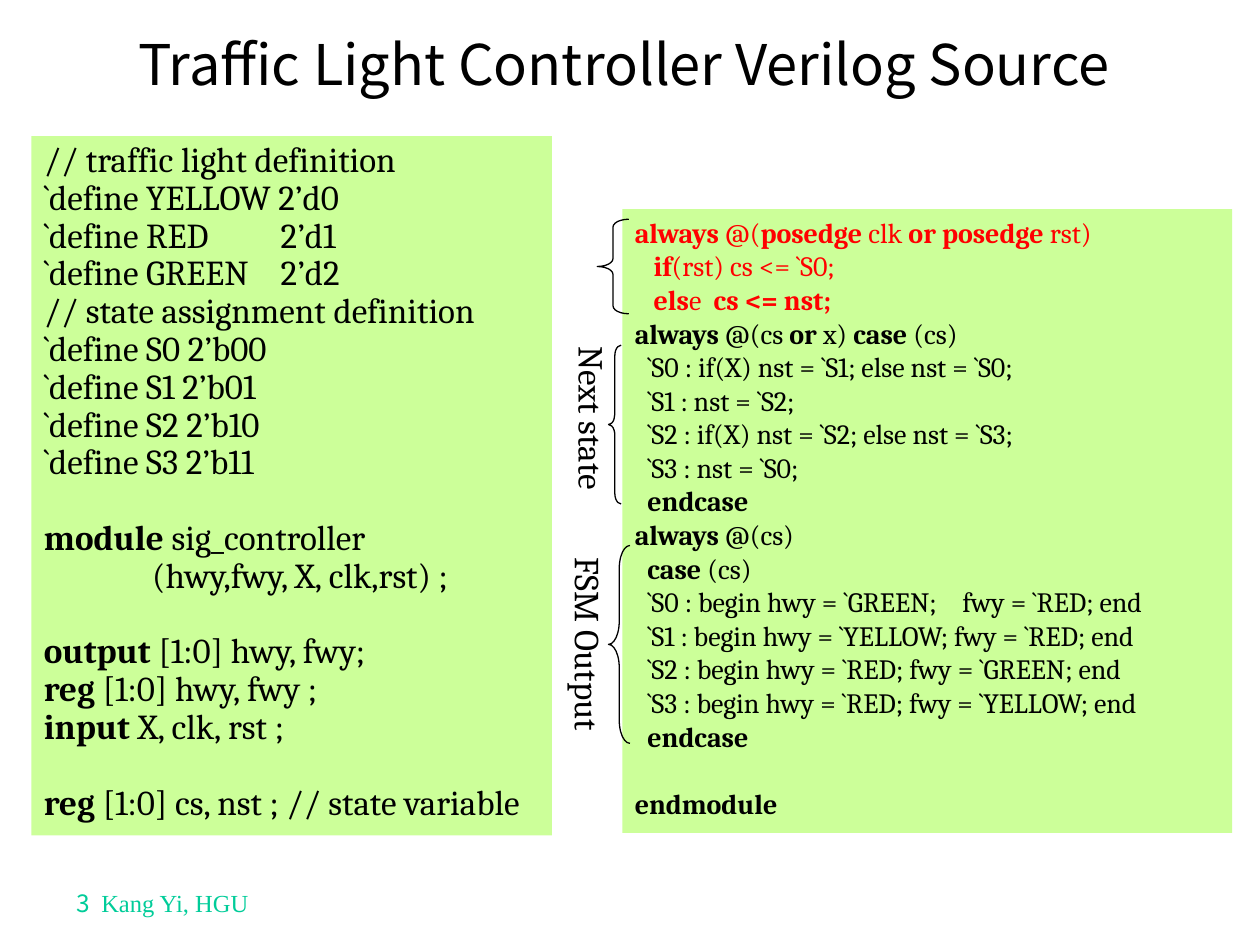
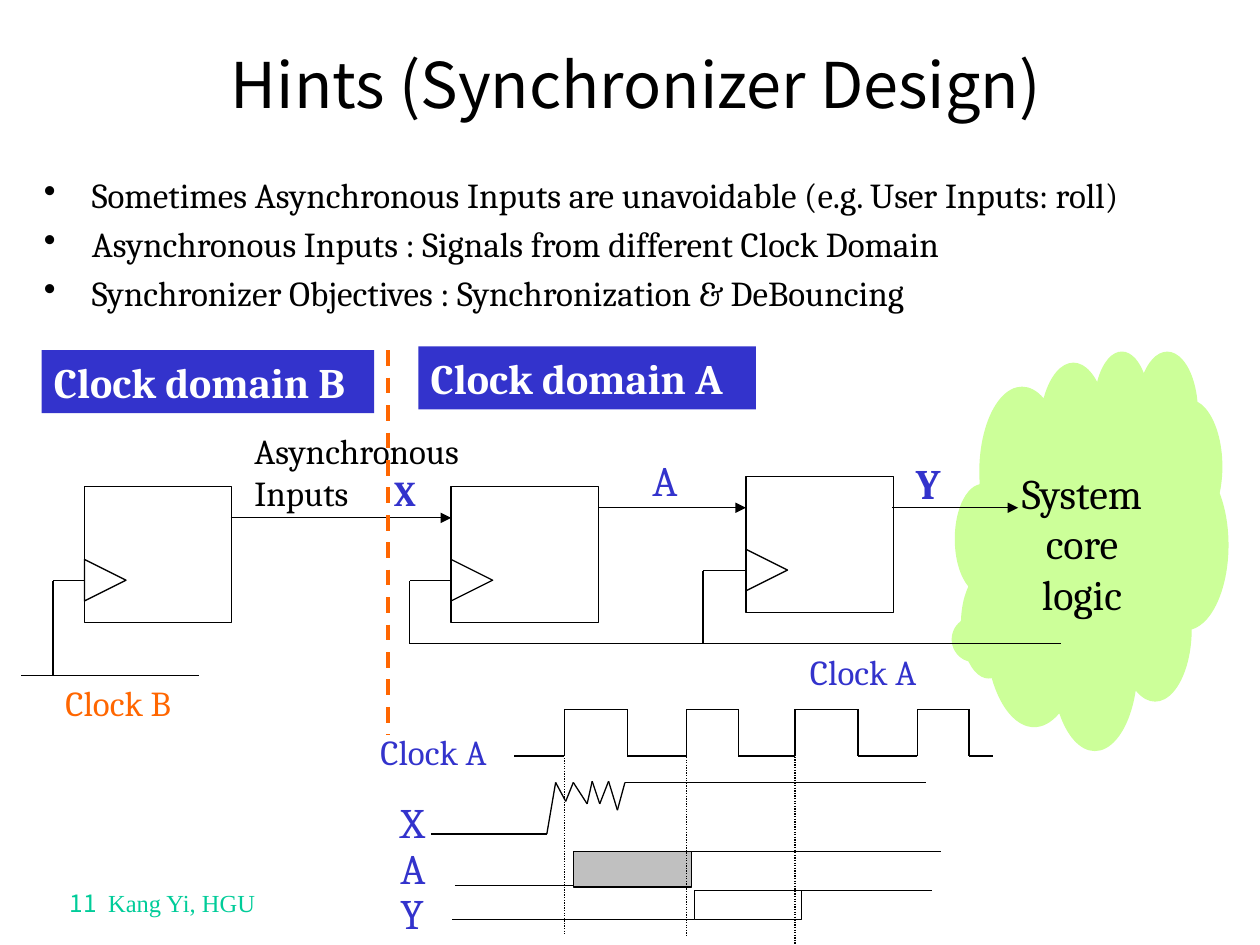
from dataclasses import dataclass
from itertools import pairwise

from pptx import Presentation
from pptx import util as u
from pptx.dml.color import RGBColor
from pptx.enum import dml, shapes, text
from pptx.oxml.ns import qn
from lxml import etree

BLACK = RGBColor(0x00, 0x00, 0x00)
WHITE = RGBColor(0xFF, 0xFF, 0xFF)
RED = RGBColor(0xFF, 0x00, 0x00)
LIME = RGBColor(0xCC, 0xFF, 0x99)
BLUE = RGBColor(0x33, 0x33, 0xCC)
ORANGE = RGBColor(0xFF, 0x66, 0x00)
TEAL = RGBColor(0x00, 0xCC, 0x99)
GREY = RGBColor(0xC0, 0xC0, 0xC0)

SERIF, SANS, FOOTER_FONT = "Cambria", "Noto Sans CJK KR", "Times New Roman"
SHAPE = shapes.MSO_SHAPE
CENTER = text.PP_ALIGN.CENTER


@dataclass
class Line:
    """One paragraph; words between asterisks are bold."""
    words: str
    indent: float = 0
    before: float = 0
    tab: float = 0
    color: RGBColor = None


class Deck:
    def __init__(self):
        self.prs = Presentation()
        self.prs.slide_width, self.prs.slide_height = u.Inches(10), u.Inches(7.5)
        self.slide = None

    def new_slide(self, number, title, top_box, size):
        self.slide = self.prs.slides.add_slide(self.prs.slide_layouts[6])
        footer = self.label((0.25, 7, 2.08, 0.33), [f"{number}  "], 14, TEAL,
                            font=SANS, align=CENTER).paragraphs[0]
        author = footer.add_run()
        author.text = "Kang Yi, HGU"
        self.style(author, 14, TEAL, FOOTER_FONT)
        heading = self.label(top_box, [title], size, font=SANS, align=CENTER)
        heading.vertical_anchor = text.MSO_ANCHOR.MIDDLE

    def style(self, run, size, color, font=SERIF, bold=False):
        run.font.size, run.font.name, run.font.bold = u.Pt(size), font, bold
        run.font.color.rgb = color

    def fill_text(self, frame, lines, size, color=BLACK, font=SERIF, bold=False,
                  align=text.PP_ALIGN.LEFT, spacing=None):
        frame.word_wrap = True
        frame.vertical_anchor = text.MSO_ANCHOR.TOP
        for i, line in enumerate(lines):
            if isinstance(line, str):
                line = Line(line)
            para = frame.add_paragraph() if i else frame.paragraphs[0]
            para.alignment = align
            if spacing:
                para.line_spacing = spacing
            if line.before:
                para.space_before = u.Pt(line.before)
            props = para._p.get_or_add_pPr()
            if line.indent:
                props.set("marL", str(u.Inches(line.indent)))
                props.set("indent", "0")
            if line.tab:
                stops = etree.SubElement(props, qn("a:tabLst"))
                etree.SubElement(stops, qn("a:tab"), pos=str(u.Inches(line.tab)), algn="l")
            for part, words in enumerate(line.words.split("*")):
                if words:
                    run = para.add_run()
                    run.text = words
                    self.style(run, size, line.color or color, font, bold or part % 2 == 1)
        return frame

    def label(self, box, lines, size, color=BLACK, **look):
        area = self.slide.shapes.add_textbox(*map(u.Inches, box))
        return self.fill_text(area.text_frame, lines, size, color, **look)

    def vertical_label(self, box, words, size):
        frame = self.label(box, [words], size)
        frame._txBody.bodyPr.set("vert", "eaVert")

    def bullets(self, box, lines, size):
        frame = self.label(box, [Line(words, before=size / 5) for words in lines], size)
        for para in frame.paragraphs:
            props = para._p.get_or_add_pPr()
            props.set("marL", str(u.Inches(0.38)))
            props.set("indent", str(-u.Inches(0.38)))
            etree.SubElement(props, qn("a:buChar"), char="•")

    def shape(self, kind, box, fill=None, line=None, adjust=()):
        item = self.slide.shapes.add_shape(kind, *map(u.Inches, box))
        item.shadow.inherit = False
        for i, value in enumerate(adjust):
            item.adjustments[i] = value
        if fill is None:
            item.fill.background()
        else:
            item.fill.solid()
            item.fill.fore_color.rgb = fill
        if line is None:
            item.line.fill.background()
        else:
            item.line.color.rgb, item.line.width = line, u.Pt(0.75)
        return item

    def panel(self, box, fill, lines, size, color=BLACK, **look):
        item = self.shape(SHAPE.RECTANGLE, box, fill)
        self.fill_text(item.text_frame, lines, size, color, **look)

    def line(self, start, end, color=BLACK, width=0.75, dash=None, arrow=False):
        item = self.slide.shapes.add_connector(
            shapes.MSO_CONNECTOR.STRAIGHT, *map(u.Inches, (*start, *end)))
        item.line.color.rgb, item.line.width = color, u.Pt(width)
        if dash:
            item.line.dash_style = dash
        if arrow:
            etree.SubElement(item.line._get_or_add_ln(), qn("a:tailEnd"), type="triangle")
        etree.SubElement(item._element.spPr, qn("a:effectLst"))

    def trace(self, *points):
        for start, end in pairwise(points):
            self.line(start, end)

    def flip_flop(self, left, top, clock_x, clock_y):
        """A register with its clock wedge and the wire down to the clock rail."""
        self.shape(SHAPE.RECTANGLE, (left, top, 1.17, 1.08), line=BLACK)
        wedge = self.shape(SHAPE.FLOWCHART_EXTRACT, (left, top + 0.58, 0.33, 0.33), line=BLACK)
        wedge.rotation = 90
        pin = top + 0.75
        self.trace((left, pin), (clock_x, pin), (clock_x, clock_y))


def verilog_source(deck):
    deck.new_slide(3, "Traffic Light Controller Verilog Source", (0.33, 0.25, 9.25, 0.5), 32)

    # Declarations
    gap = 21.6
    deck.panel((0.25, 1.08, 4.13, 5.55), LIME, [
        "// traffic light definition",
        "`define YELLOW 2’d0",
        Line("`define RED\t2’d1", tab=1.88),
        Line("`define GREEN\t2’d2", tab=1.88),
        "// state assignment definition",
        *(f"`define S{i} 2’b{i:02b}" for i in range(4)),
        Line("*module *sig_controller", before=gap),
        Line("(hwy,fwy, X, clk,rst) ;", indent=0.86),
        Line("*output* [1:0] hwy, fwy;", before=gap),
        "*reg* [1:0] hwy, fwy ;",
        "*input* X, clk, rst ;",
        Line("*reg* [1:0] cs, nst ; // state variable", before=gap),
    ], 20, spacing=0.9)

    # State machine
    body = [
        Line("*always* @(*posedge *clk *or posedge *rst)", color=RED),
        Line("*if*(rst) cs <= `S0;", indent=0.15, color=RED),
        Line("*els*e  *cs <= nst;*", indent=0.15, color=RED),
        "*always* @(cs *or* x) *case* (cs)",
    ]
    next_states = ["if(X) nst = `S1; else nst = `S0;", "nst = `S2;",
                   "if(X) nst = `S2; else nst = `S3;", "nst = `S0;"]
    outputs = ["`GREEN;\tfwy = `RED;", "`YELLOW; fwy = `RED;",
               "`RED; fwy = `GREEN;", "`RED; fwy = `YELLOW;"]
    body += [Line(f"`S{i} : {rule}", indent=0.1) for i, rule in enumerate(next_states)]
    body += [Line("*endcase*", indent=0.1), "*always* @(cs)", Line("*case* (cs)", indent=0.1)]
    body += [Line(f"`S{i} : begin hwy = {lights} end", indent=0.1,
                  tab=2.45 if "\t" in lights else 0) for i, lights in enumerate(outputs)]
    body += [Line("*endcase*", indent=0.1), Line("*endmodule*", before=19.2)]
    deck.panel((4.94, 1.66, 4.84, 4.95), LIME, body, 16)

    # Braces and their labels
    for box, curl in (((4.83, 4.33, 0.17, 1.57), 1.083),
                      ((4.83, 2.74, 0.1, 1.26), 0.833),
                      ((4.74, 1.74, 0.25, 0.75), 0.25)):
        deck.shape(SHAPE.LEFT_BRACE, box, line=BLACK, adjust=(curl, 0.5))
    deck.vertical_label((4.38, 2.65, 0.54, 1.45), "Next state", 20)
    deck.vertical_label((4.35, 4.33, 0.54, 1.72), "FSM Output", 20)


def synchronizer(deck):
    deck.new_slide(11, "Hints (Synchronizer Design)", (0.42, 0.25, 9.25, 0.83), 36)
    deck.bullets((0.25, 1.33, 9.42, 1.25), [
        "Sometimes Asynchronous Inputs are unavoidable (e.g. User Inputs: roll)",
        "Asynchronous Inputs : Signals from different Clock Domain",
        "Synchronizer Objectives : Synchronization & DeBouncing",
    ], 20)

    # Core logic cloud
    core = deck.shape(SHAPE.CLOUD_CALLOUT, (7.58, 2.78, 2.17, 3.17), LIME,
                      adjust=(-0.356, 0.186))
    core.text_frame.margin_top = u.Inches(0.45)
    deck.fill_text(core.text_frame, ["System", "core logic"], 24, align=CENTER)

    # Registers, clock rails and data wires
    rail_a, rail_b = 5.11, 5.36
    deck.flip_flop(0.67, 3.86, 0.42, rail_b)
    deck.flip_flop(3.58, 3.86, 3.25, rail_a)
    deck.flip_flop(5.92, 3.78, 5.58, rail_a)
    deck.line((0.17, rail_b), (1.58, rail_b))
    deck.line((3.25, rail_a), (8.42, rail_a))
    for start, end, y in ((1.83, 3.58, 4.11), (4.75, 5.92, 4.03), (7.08, 8.08, 4.03)):
        deck.line((start, y), (end, y), arrow=True)

    # Signal names
    deck.label((6.33, 5.11, 1.19, 0.43), ["Clock A"], 20, BLUE)
    deck.label((0.42, 5.36, 1.15, 0.43), ["Clock B"], 20, ORANGE)
    deck.label((5.08, 3.56, 0.46, 0.5), ["A"], 24, BLUE)
    deck.label((7.17, 3.58, 0.46, 0.5), ["Y"], 24, BLUE, bold=True)
    inputs = deck.label((1.92, 3.36, 1.99, 0.77),
                        ["Asynchronous", Line("Inputs\t*X*", tab=1.11)], 20)
    inputs.paragraphs[1].runs[-1].font.color.rgb = BLUE

    # Clock domains
    deck.line((3.08, 2.78), (3.08, 5.83), ORANGE, 2.25, dml.MSO_LINE.DASH)
    deck.panel((3.32, 2.75, 2.68, 0.5), BLUE, ["Clock domain A"], 24, WHITE, bold=True)
    deck.panel((0.33, 2.78, 2.64, 0.5), BLUE, ["Clock domain B"], 24, WHITE, bold=True)

    # Timing: clock A toggles at each edge
    low, high = 6, 5.63
    clock, level = [(4.08, low)], low
    for edge in (4.48, 4.98, 5.45, 5.86, 6.31, 6.81, 7.28, 7.69):
        clock.append((edge, level))
        level = low + high - level
        clock.append((edge, level))
    deck.trace(*clock, (7.88, low))

    # Timing: bouncing X
    deck.trace((3.42, 6.62), (4.34, 6.62), (4.41, 6.21), (4.49, 6.36), (4.55, 6.21),
               (4.66, 6.38), (4.7, 6.2), (4.76, 6.38), (4.83, 6.2), (4.9, 6.43),
               (4.96, 6.21), (7.35, 6.21))

    # Timing: A and Y
    deck.line((3.61, 7.03), (5.47, 7.03))
    deck.line((4.56, 6.76), (7.47, 6.76))
    deck.line((3.59, 7.3), (5.51, 7.3))
    deck.shape(SHAPE.RECTANGLE, (4.55, 6.76, 0.94, 0.28), GREY, BLACK)
    deck.shape(SHAPE.RECTANGLE, (5.51, 7.07, 0.85, 0.23), WHITE, BLACK)
    deck.line((6.18, 7.07), (7.4, 7.07))

    # Sampling instants
    for x, top, bottom in ((4.48, 5.83, 7.42), (5.45, 5.68, 7.44), (6.31, 5.74, 7.5)):
        deck.line((x, top), (x, bottom), dash=dml.MSO_LINE.ROUND_DOT)

    deck.label((3.08, 6.32, 0.46, 1.18), ["X", "A", "Y"], 24, BLUE, spacing=0.9)
    deck.label((2.92, 5.75, 1.19, 0.43), ["Clock A"], 20, BLUE)


def main():
    deck = Deck()
    verilog_source(deck)
    synchronizer(deck)
    deck.prs.save("out.pptx")


if __name__ == "__main__":
    main()
